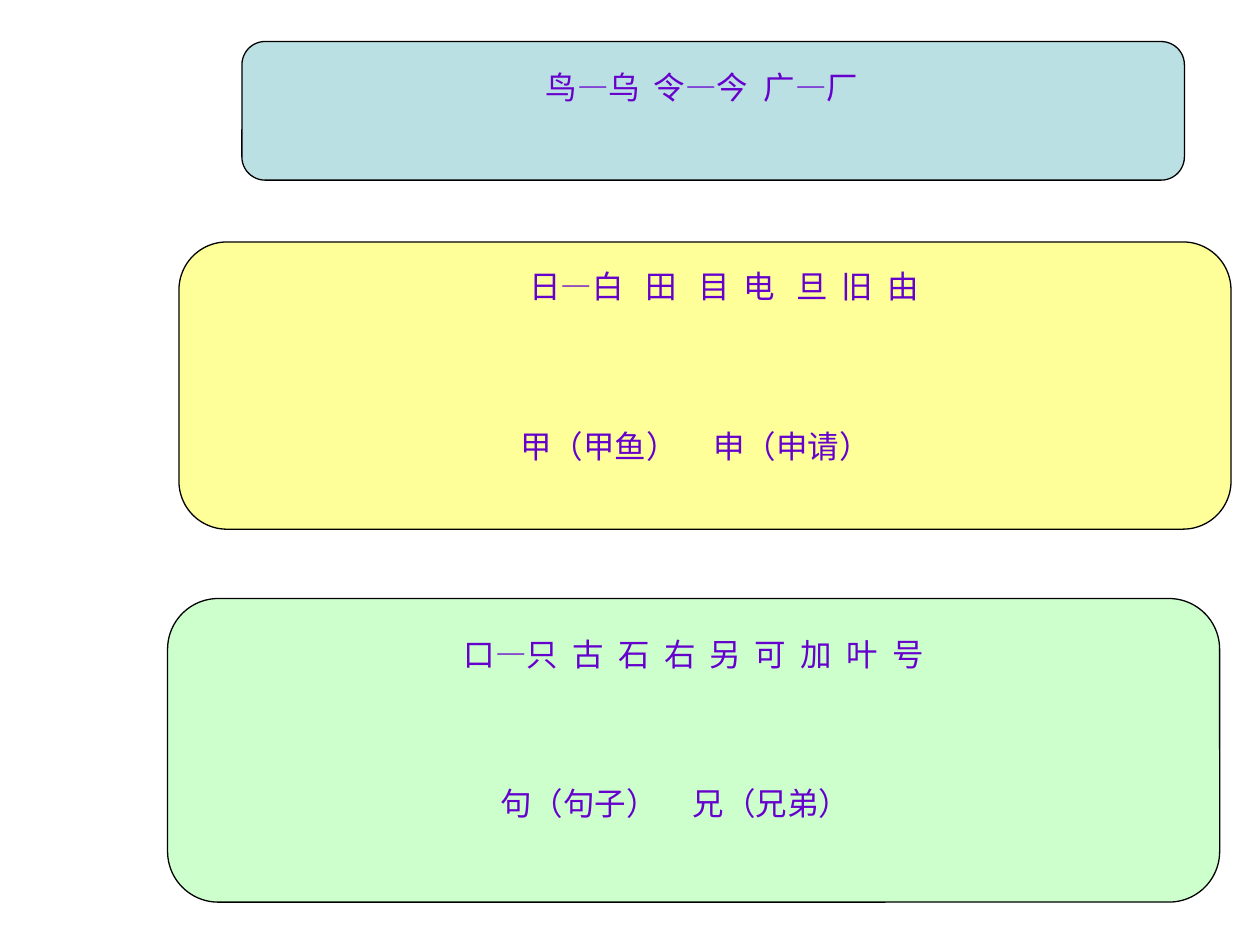
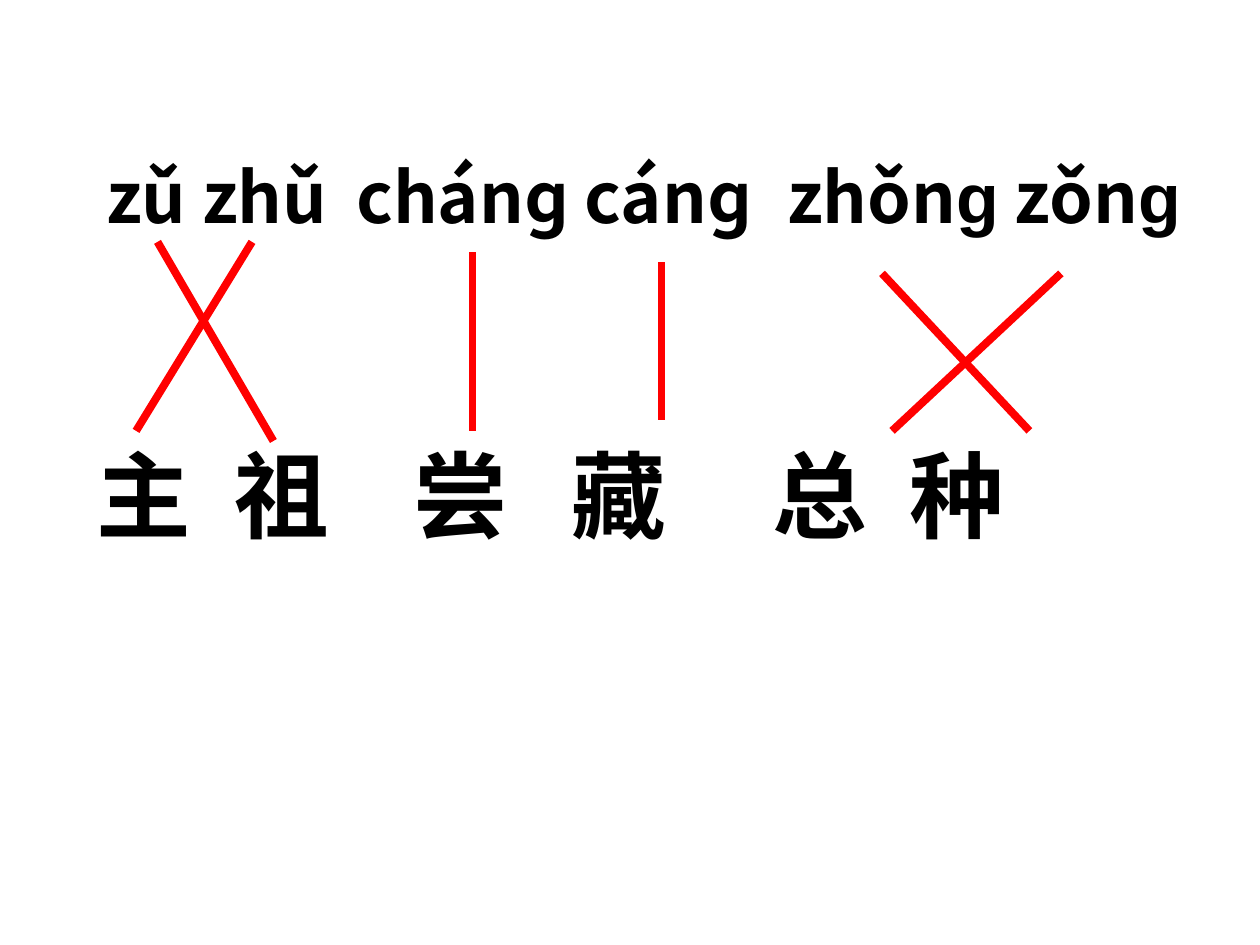
from itertools import accumulate
from lxml.etree import SubElement
from pptx import Presentation
from pptx.dml.color import RGBColor
from pptx.enum.shapes import MSO_CONNECTOR, MSO_SHAPE
from pptx.enum.text import MSO_ANCHOR, PP_ALIGN
from pptx.oxml.ns import qn
from pptx.util import Inches, Pt

CJK = "Noto Sans CJK SC"
LATIN = "Arial"
BLACK = "000000"
PURPLE = "6600CC"
RED = "FF0000"
SPACE_EM = 0.225


def rgb(value):
    """Turn a hex string into a colour."""
    return RGBColor.from_string(value)


def word_starts(words, gaps, size):
    """Return the start of each word and the end of the row, in inches."""
    em = size / 72
    steps = [(len(word) + SPACE_EM * gap) * em
             for word, gap in zip(words, gaps + [0])]
    return [round(x, 2) for x in accumulate(steps, initial=0)]


def add_text(slide, box, runs, size, color, stops, indent=0, bold=False):
    """Add one line of (text, font) runs with tab stops."""
    sp = slide.shapes.add_textbox(*map(Inches, box))
    tf = sp.text_frame
    tf.word_wrap = True
    tf.vertical_anchor = MSO_ANCHOR.TOP
    tf.margin_left = Inches(0.1 + indent)
    p = tf.paragraphs[0]
    p.alignment = PP_ALIGN.LEFT
    tabs = SubElement(p._p.get_or_add_pPr(), qn("a:tabLst"))
    for stop in stops:
        SubElement(tabs, qn("a:tab"), pos=str(Inches(stop)), algn="l")
    for text, font in runs:
        r = p.add_run()
        r.text = text
        r.font.size = Pt(size)
        r.font.bold = bold
        r.font.color.rgb = rgb(color)
        r.font.name = font
        SubElement(r._r.get_or_add_rPr(), qn("a:ea"), typeface=CJK)


def add_word_row(slide, box, words, gaps):
    """Add a row of look-alike characters centred in its box."""
    *starts, width = word_starts(words, gaps, 18)
    indent = round((box[2] - width) / 2 - 0.1, 2)
    add_text(slide, box, [("\t".join(words), CJK)], 18, PURPLE, starts[1:], indent)


def add_panel(slide, box, fill, rows):
    """Add a rounded panel with rows placed relative to it."""
    left, top, _, _ = box
    sp = slide.shapes.add_shape(MSO_SHAPE.ROUNDED_RECTANGLE, *map(Inches, box))
    sp.shadow.inherit = False
    sp.adjustments[0] = 0.167
    sp.fill.solid()
    sp.fill.fore_color.rgb = rgb(fill)
    sp.line.color.rgb = rgb(BLACK)
    sp.line.width = Pt(0.75)
    for (dx, dy, width, height), words, gaps in rows:
        add_word_row(slide, (left + dx, top + dy, width, height), words, gaps)


def add_match_line(slide, x1, y1, x2, y2):
    """Add a red line joining a syllable to its character."""
    line = slide.shapes.add_connector(
        MSO_CONNECTOR.STRAIGHT, *map(Inches, (x1, y1, x2, y2)))
    line.line.color.rgb = rgb(RED)
    line.line.width = Pt(4.5)
    SubElement(line._element.spPr, qn("a:effectLst"))


def build_lookalikes(slide):
    """Build the slide of characters that look alike."""
    panels = [
        ((1.92, 0.33, 7.48, 1.1), "BBE0E3", [
            ((0.07, 0.16, 7.17, 0.86), ["鸟—乌", "令—今", "广—厂"], [2, 2]),
        ]),
        ((1.42, 1.92, 8.35, 2.28), "FFFF99", [
            ((0.47, 0.15, 7.72, 0.7),
             ["日—白", "田", "目", "电", "旦", "旧", "由"], [3, 3, 2, 3, 2, 2]),
            ((0.55, 1.42, 7.09, 0.86), ["甲（甲鱼）", "申（申请）"], [5]),
        ]),
        ((1.33, 4.75, 8.35, 2.41), "CCFFCC", [
            ((0.16, 0.24, 8.03, 0.78),
             ["口—只", "古", "石", "右", "另", "可", "加", "叶", "号"], [2] * 8),
            ((0.48, 1.42, 7.09, 0.86), ["句（句子）", "兄（兄弟）"], [5]),
        ]),
    ]
    for box, fill, rows in panels:
        add_panel(slide, box, fill, rows)


def build_matching(slide):
    """Build the slide that matches syllables to characters."""
    syllables = [("zǔ zhǔ\tchánɡ cánɡ\tzhǒn", CJK), ("ɡ", LATIN),
                 (" zǒn", CJK), ("ɡ", LATIN)]
    add_text(slide, (0.75, 1.17, 9.67, 0.77), syllables, 40, BLACK,
             [1.98, 5.4], bold=True)
    characters = ["主", "祖", "尝", "藏", "总", "种"]
    starts = word_starts(characters, [2, 4, 3, 5, 2], 54)
    add_text(slide, (0.67, 3.42, 8.67, 1), [("\t".join(characters), LATIN)],
             54, BLACK, starts[1:-1], bold=True)
    for ends in [(1.25, 1.92, 2.17, 3.5), (2, 1.92, 1.08, 3.42),
                 (3.75, 2, 3.75, 3.42), (5.25, 2.08, 5.25, 3.33),
                 (7, 2.17, 8.17, 3.42), (8.42, 2.17, 7.08, 3.42)]:
        add_match_line(slide, *ends)


def main():
    """Build and save the presentation."""
    prs = Presentation()
    prs.slide_width = Inches(10)
    prs.slide_height = Inches(7.5)
    for build in (build_lookalikes, build_matching):
        build(prs.slides.add_slide(prs.slide_layouts[6]))
    prs.save("out.pptx")


if __name__ == "__main__":
    main()
